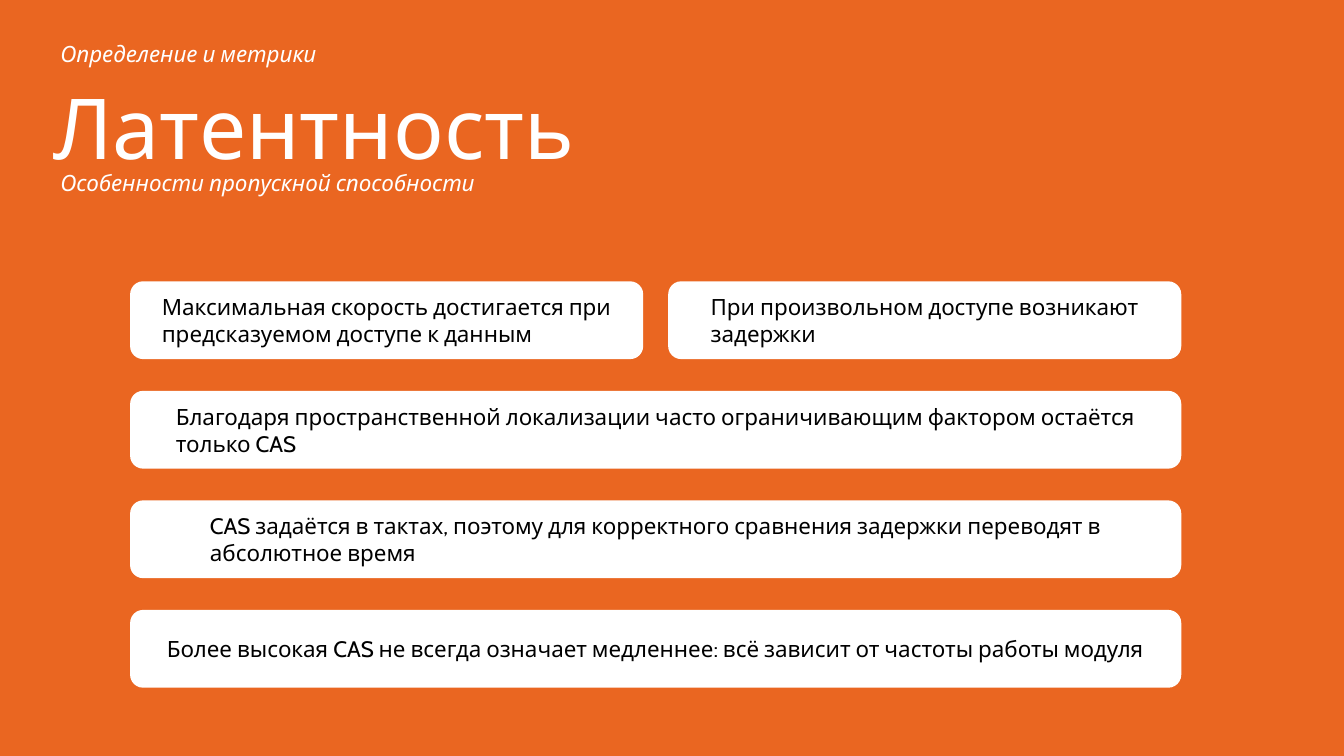
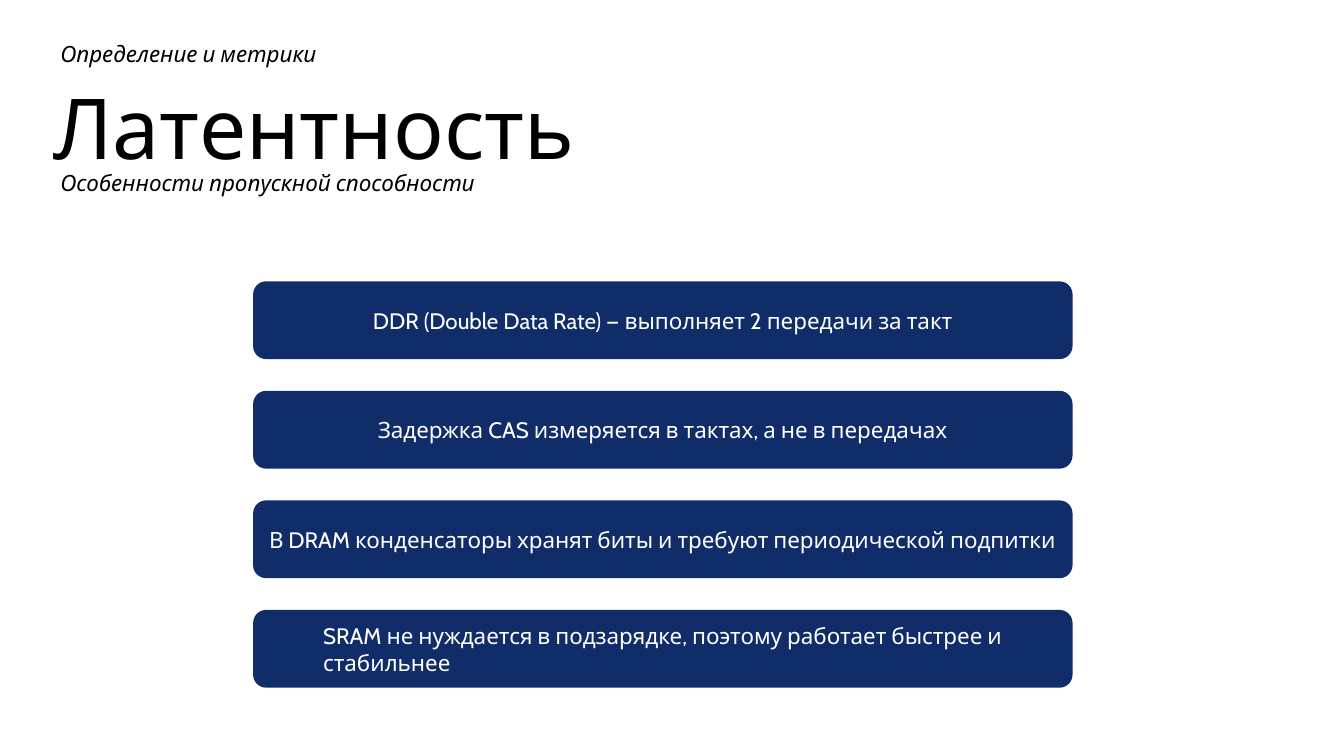
from pptx import Presentation
from pptx.dml.color import RGBColor
from pptx.enum.shapes import MSO_SHAPE
from pptx.enum.text import MSO_ANCHOR, MSO_AUTO_SIZE, PP_ALIGN
from pptx.util import Cm, Pt

ORANGE = RGBColor(0xEA, 0x66, 0x21)
NAVY = RGBColor(0x10, 0x2D, 0x69)
WHITE = RGBColor(0xFF, 0xFF, 0xFF)
BLACK = RGBColor(0x00, 0x00, 0x00)

FONT = "Cabin"
TITLE_SIZE, TEXT_SIZE = 60, 16
CARD_TOP, CARD_HEIGHT, CARD_PITCH, CARD_GAP = 7.09, 1.96, 2.76, 0.63

TITLE = "Латентность"
SECTION = "Определение и метрики"
SUBTITLE = "Особенности пропускной способности"

THROUGHPUT_ROWS = [
    ["Максимальная скорость достигается при предсказуемом доступе к данным",
     "При произвольном доступе возникают задержки"],
    ["Благодаря пространственной локализации часто ограничивающим фактором остаётся только CAS"],
    ["CAS задаётся в тактах, поэтому для корректного сравнения задержки переводят в абсолютное время"],
    ["Более высокая CAS не всегда означает медленнее: всё зависит от частоты работы модуля"],
]
MEMORY_ROWS = [
    ["DDR (Double Data Rate) — выполняет 2 передачи за такт"],
    ["Задержка CAS измеряется в тактах, а не в передачах"],
    ["В DRAM конденсаторы хранят биты и требуют периодической подпитки"],
    ["SRAM не нуждается в подзарядке, поэтому работает быстрее и стабильнее"],
]


def write(shape, text, size, color, anchor=MSO_ANCHOR.TOP, italic=False):
    """Put one left-aligned paragraph into a shape."""
    tf = shape.text_frame
    tf.text = text
    tf.word_wrap = True
    tf.auto_size = MSO_AUTO_SIZE.NONE
    tf.vertical_anchor = anchor
    p = tf.paragraphs[0]
    p.alignment = PP_ALIGN.LEFT
    font = p.runs[0].font
    font.name = FONT
    font.size = Pt(size)
    font.italic = italic
    font.color.rgb = color
    return tf


def add_title(s, color):
    """Place and format the title placeholder."""
    title = s.shapes.title
    title.left, title.top, title.width, title.height = Cm(1.09), Cm(1.78), Cm(27.33), Cm(2.82)
    write(title, TITLE, TITLE_SIZE, color)


def add_caption(s, text, top, width, color):
    """Add an italic line above or below the title."""
    box = s.shapes.add_textbox(Cm(1.27), Cm(top), Cm(width), Cm(0.94))
    write(box, text, TEXT_SIZE, color, italic=True)


def add_card(s, text, left, top, width, fill, color):
    """Add a rounded card whose text block is centred as a whole."""
    card = s.shapes.add_shape(MSO_SHAPE.ROUNDED_RECTANGLE, Cm(left), Cm(top), Cm(width), Cm(CARD_HEIGHT))
    card.shadow.inherit = False
    card.fill.solid()
    card.fill.fore_color.rgb = fill
    card.line.fill.background()
    tf = write(card, text, TEXT_SIZE, color, MSO_ANCHOR.MIDDLE)
    tf._txBody.bodyPr.set("anchorCtr", "1")


def add_card_rows(s, rows, left, width, fill, color):
    """Stack rows of cards, sharing each row's width equally."""
    for i, row in enumerate(rows):
        card_width = (width - CARD_GAP * (len(row) - 1)) / len(row)
        for j, text in enumerate(row):
            add_card(s, text, left + j * (card_width + CARD_GAP), CARD_TOP + i * CARD_PITCH,
                     card_width, fill, color)


def add_latency_slide(prs, background, heading_color):
    """Add a slide with the shared background, title and captions."""
    s = prs.slides.add_slide(prs.slide_layouts.get_by_name("Title Only"))
    s.background.fill.solid()
    s.background.fill.fore_color.rgb = background
    add_title(s, heading_color)
    add_caption(s, SECTION, 0.89, 9.93, heading_color)
    add_caption(s, SUBTITLE, 4.14, 12.19, heading_color)
    return s


def main():
    """Build and save the presentation."""
    prs = Presentation()
    prs.slide_width, prs.slide_height = Cm(33.87), Cm(19.05)
    s = add_latency_slide(prs, ORANGE, WHITE)
    add_card_rows(s, THROUGHPUT_ROWS, 3.28, 26.49, WHITE, BLACK)
    s = add_latency_slide(prs, WHITE, BLACK)
    add_card_rows(s, MEMORY_ROWS, 6.38, 20.65, NAVY, WHITE)
    prs.save("out.pptx")


if __name__ == "__main__":
    main()
